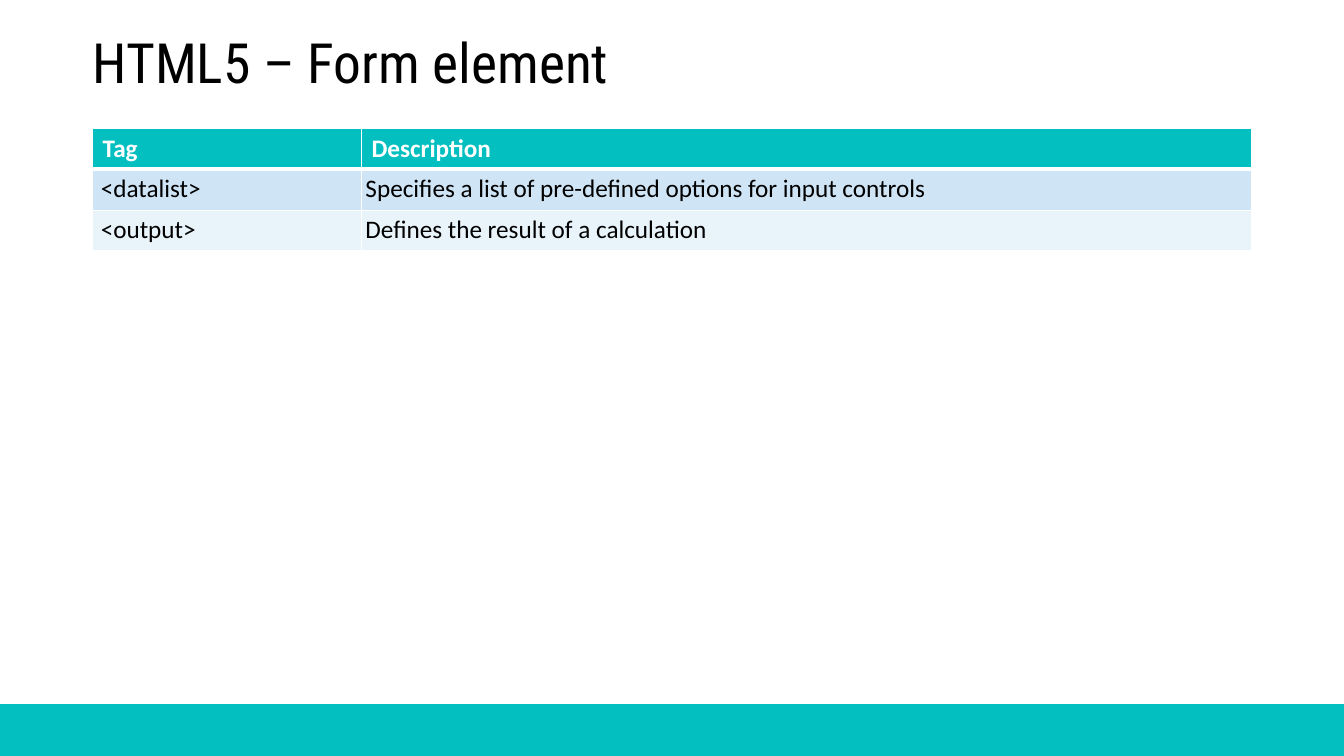
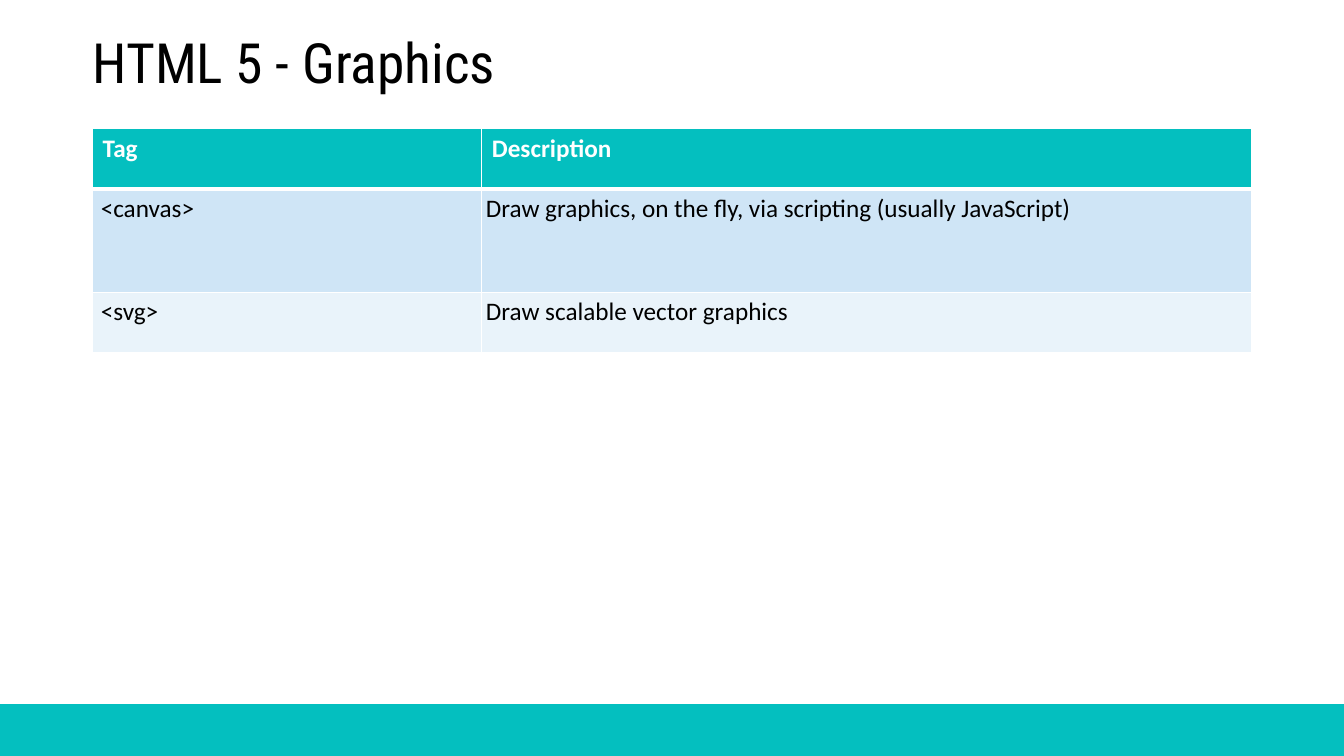
"""Build two slides that list HTML5 form and graphics tags."""
import pptx
import pptx.util
import pptx.dml.color
import pptx.enum.shapes
import pptx.enum.text
import pptx.oxml
import pptx.oxml.ns

Pt = pptx.util.Pt
HEX = {"teal": "04BFBF", "sky": "CFE5F6", "ice": "E9F3FA",
       "white": "FFFFFF", "black": "000000"}
HEAD = ("Tag", "Description")
SLIDES = [
    {"title": "HTML5 – Form element", "cols": (192, 636), "rows": (29.2, 29.2, 29.2),
     "body": [("<datalist>", "Specifies a list of pre-defined options for input controls"),
              ("<output>", "Defines the result of a calculation")]},
    {"title": "HTML 5 - Graphics", "cols": (278, 550), "rows": (43.4, 73.6, 43.4),
     "body": [("<canvas>", "Draw graphics, on the fly, via scripting (usually JavaScript)"),
              ("<svg>", "Draw scalable vector graphics")]},
]
WIDE, HIGH = 960, 540
LEFT = 66.2
BAND = 503.3
TITLE = {"name": "Roboto Condensed", "size": Pt(39.6), "bold": False}
CELL = {"name": "Calibri", "size": Pt(18)}
FRAME = {"margin_left": 0, "margin_right": Pt(7.2), "margin_top": Pt(3.6),
         "margin_bottom": Pt(3.6), "word_wrap": True,
         "vertical_anchor": pptx.enum.text.MSO_ANCHOR.BOTTOM}


def rgb(name):
    return pptx.dml.color.RGBColor.from_string(HEX[name])


def assign(item, values):
    for key, value in values.items():
        setattr(item, key, value)


def style(font, values, color):
    assign(font, values)
    font.color.rgb = rgb(color)


def paint(fill, color):
    fill.solid()
    fill.fore_color.rgb = rgb(color)


def add_band(slide):
    band = slide.shapes.add_shape(pptx.enum.shapes.MSO_SHAPE.RECTANGLE,
                                  0, Pt(BAND), Pt(WIDE), Pt(HIGH - BAND))
    band.shadow.inherit = False
    paint(band.fill, "teal")
    paint(band.line.fill, "teal")
    band.line.width = Pt(1)


def add_title(slide, text):
    box = slide.shapes.add_textbox(Pt(LEFT), Pt(25.9), Pt(731.5), Pt(46))
    assign(box.text_frame, FRAME)
    para = box.text_frame.paragraphs[0]
    para.text = text
    para.line_spacing = 0.9
    style(para.font, TITLE, "black")


def add_edges(cell, row):
    widths = {"L": 1, "R": 1, "T": 3 if row == 1 else 1, "B": 3 if row == 0 else 1}
    props = cell._tc.get_or_add_tcPr()
    for spot, (side, width) in enumerate(widths.items()):
        props.insert(spot, pptx.oxml.parse_xml(
            f'<a:ln{side} {pptx.oxml.ns.nsdecls("a")} w="{Pt(width)}"><a:solidFill>'
            f'<a:srgbClr val="{HEX["white"]}"/></a:solidFill></a:ln{side}>'))


def fill_cell(cell, text, row, col):
    cell.text = text
    paint(cell.fill, ("teal", "sky", "ice")[row])
    add_edges(cell, row)
    if row:
        pad = Pt(2.9)
        assign(cell, {"margin_left": pad if col else 2 * pad, "margin_right": pad,
                      "margin_top": pad, "margin_bottom": pad})
    style(cell.text_frame.paragraphs[0].font, {**CELL, "bold": row == 0},
          "black" if row else "white")


def add_grid(slide, cols, rows, body):
    table = slide.shapes.add_table(len(rows), len(cols), Pt(LEFT), Pt(91.7),
                                   Pt(sum(cols)), Pt(sum(rows))).table
    for col, width in enumerate(cols):
        table.columns[col].width = Pt(width)
    for row, (height, texts) in enumerate(zip(rows, [HEAD, *body])):
        table.rows[row].height = Pt(height)
        for col, text in enumerate(texts):
            fill_cell(table.cell(row, col), text, row, col)


def main():
    deck = pptx.Presentation()
    assign(deck, {"slide_width": Pt(WIDE), "slide_height": Pt(HIGH)})
    for data in SLIDES:
        slide = deck.slides.add_slide(deck.slide_layouts[6])
        add_band(slide)
        add_title(slide, data["title"])
        add_grid(slide, data["cols"], data["rows"], data["body"])
    deck.save("out.pptx")


if __name__ == "__main__":
    main()
